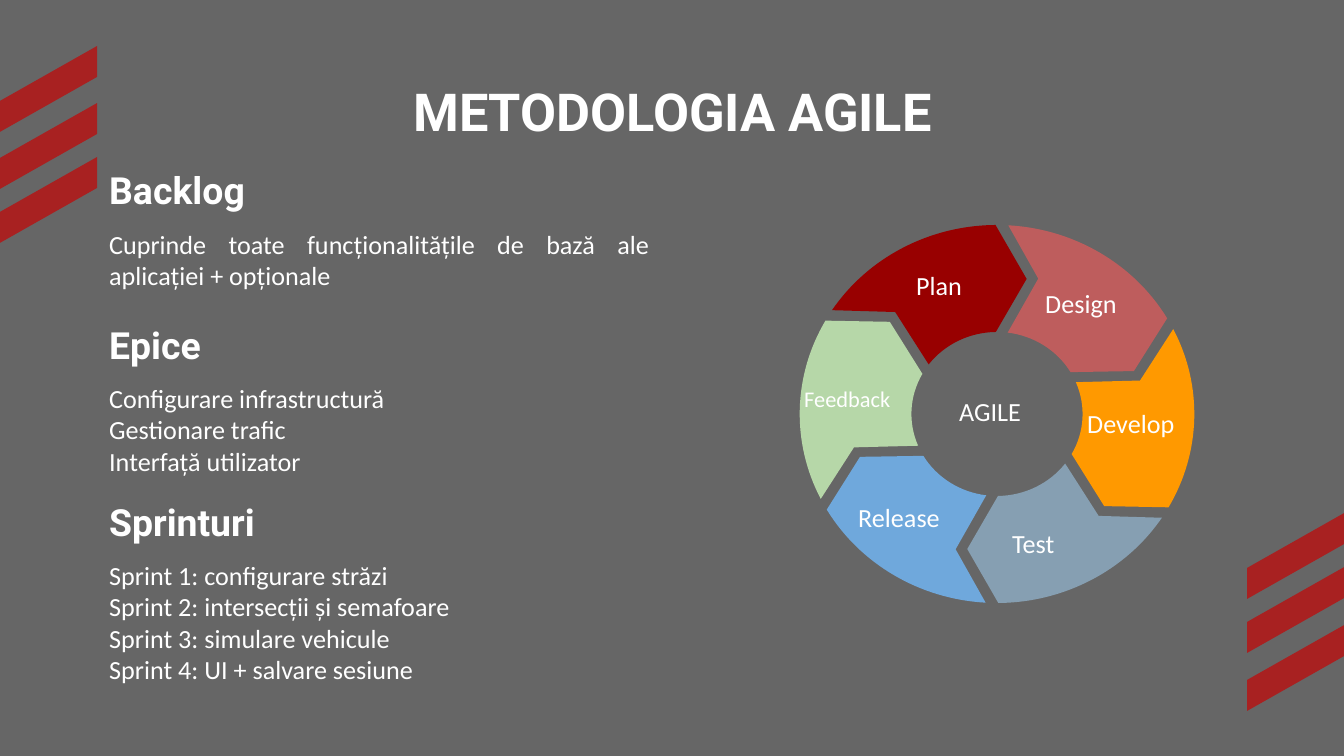
from dataclasses import dataclass
from math import cos, radians, sin, tan

from lxml import etree
from pptx import Presentation
from pptx.dml.color import RGBColor
from pptx.enum.text import MSO_ANCHOR, PP_ALIGN
from pptx.oxml.ns import qn
from pptx.util import Inches, Pt

LEFT, MID, JUST = PP_ALIGN.LEFT, PP_ALIGN.CENTER, PP_ALIGN.JUSTIFY
TOP, BASE = MSO_ANCHOR.TOP, MSO_ANCHOR.BOTTOM
SCALE = 914400 / 134.4
WIDE, HIGH = 1344, 756
INSET = Inches(0.1)


def emu(px):
    return round(px * SCALE)


@dataclass(frozen=True)
class Theme:
    back: str = "666666"
    ink: str = "FFFFFF"
    bar: str = "A82121"
    head: str = "Roboto"
    body: str = "Calibri"
    title: int = 28
    sub: int = 20
    text: int = 14
    small: int = 12


class Board:
    def __init__(self, slide, theme):
        self.slide, self.theme = slide, theme
        fill = slide.background.fill
        fill.solid()
        fill.fore_color.rgb = RGBColor.from_string(theme.back)

    def text(self, box, paras, size, head=False, align=LEFT, anchor=TOP):
        frame = self.slide.shapes.add_textbox(*map(emu, box)).text_frame
        frame.word_wrap = True
        frame.vertical_anchor = anchor
        frame.margin_left = frame.margin_right = INSET
        frame.margin_top = frame.margin_bottom = INSET
        for i, lines in enumerate(paras):
            para = frame.add_paragraph() if i else frame.paragraphs[0]
            para.alignment = align
            for j, line in enumerate(lines.split("\n")):
                if j:
                    para.add_line_break()
                run = para.add_run()
                run.text = line
                font = run.font
                font.name = self.theme.head if head else self.theme.body
                font.size, font.bold = Pt(size), head
                font.color.rgb = RGBColor.from_string(self.theme.ink)

    def shape(self, points, color, curves=()):
        """Draw an outline; three segments from each index become a curve."""
        first, *rest = [(emu(x), emu(y)) for x, y in points]
        pen = self.slide.shapes.build_freeform(*first, scale=1.0)
        pen.add_line_segments(rest, close=True)
        shape = pen.convert_to_shape()
        shape.shadow.inherit = False
        shape.fill.solid()
        shape.fill.fore_color.rgb = RGBColor.from_string(color)
        shape.line.fill.background()
        lines = list(shape.element.iter(qn("a:lnTo")))
        for i in curves:
            curve = etree.Element(qn("a:cubicBezTo"))
            lines[i].addprevious(curve)
            for line in lines[i:i + 3]:
                curve.append(line[0])
                line.getparent().remove(line)

    def bar(self, x, y):
        self.shape([(x, y + 117), (x, y + 86), (x + 152, y), (x + 152, y + 31)],
                   self.theme.bar)

    def arrow(self, turn, color):
        """One wheel part, its angles measured clockwise from the top."""
        def spot(angle, reach, shift=0):
            a = radians(angle + turn)
            x = reach * (sin(a) + shift * cos(a))
            y = reach * (cos(a) - shift * sin(a))
            return 997 + 1.044 * x, 414 - y

        def arc(start, end, reach):
            pull = 4 / 3 * tan(radians(end - start) / 4)
            return [spot(start, reach), spot(start, reach, pull),
                    spot(end, reach, -pull), spot(end, reach)]

        self.shape(arc(-56.7, -0.4, 189) + [spot(11.9, 138)]
                   + arc(-0.7, -52.8, 82) + [spot(-43.7, 141)],
                   color, curves=(0, 5))


def main():
    theme = Theme()
    deck = Presentation()
    deck.slide_width, deck.slide_height = emu(WIDE), emu(HIGH)
    board = Board(deck.slides.add_slide(deck.slide_layouts[6]), theme)

    # Corner stripes, bleeding over the slide edges
    for x, tops in ((-55, (157, 103, 46)), (1247, (482, 536, 594))):
        for y in tops:
            board.bar(x, y)

    # Title
    board.text((106, 66, 1133, 85), ["METODOLOGIA AGILE"], theme.title,
               head=True, align=MID)

    # Left column: heading, its top, body top, body alignment, paragraphs
    parts = [
        ("Backlog", 154, 215, JUST,
         ["Cuprinde toate funcționalitățile de bază ale aplicației + opționale"]),
        ("Epice", 309, 369, LEFT,
         ["Configurare infrastructură\nGestionare trafic\nInterfață utilizator"]),
        ("Sprinturi", 486, 546, LEFT,
         ["Sprint 1: configurare străzi", "Sprint 2: intersecții și semafoare",
          "Sprint 3: simulare vehicule", "Sprint 4: UI + salvare sesiune"]),
    ]
    for name, top, low, align, paras in parts:
        board.text((96, top, 567, 71), [name], theme.sub, head=True, anchor=BASE)
        board.text((96, low, 567, 85), paras, theme.text, align=align)

    # Wheel: label, colour, label left, top and width, type size
    steps = [
        ("Plan", "980000", 903, 256, 120, theme.text),
        ("Design", "BE5D5D", 1032, 274, 138, theme.text),
        ("Develop", "FF9900", 1074, 394, 148, theme.text),
        ("Test", "869FB2", 999, 514, 148, theme.text),
        ("Release", "6FA8DC", 845, 488, 148, theme.text),
        ("Feedback", "B6D7A8", 791, 372, 148, theme.small),
    ]
    for i, step in enumerate(steps):
        board.arrow(60 * i, step[1])
    for name, _, x, y, wide, size in steps:
        board.text((x, y, wide, 40), [name], size)
    board.text((946, 382, 120, 40), ["AGILE"], theme.text)

    deck.save("out.pptx")


if __name__ == "__main__":
    main()
